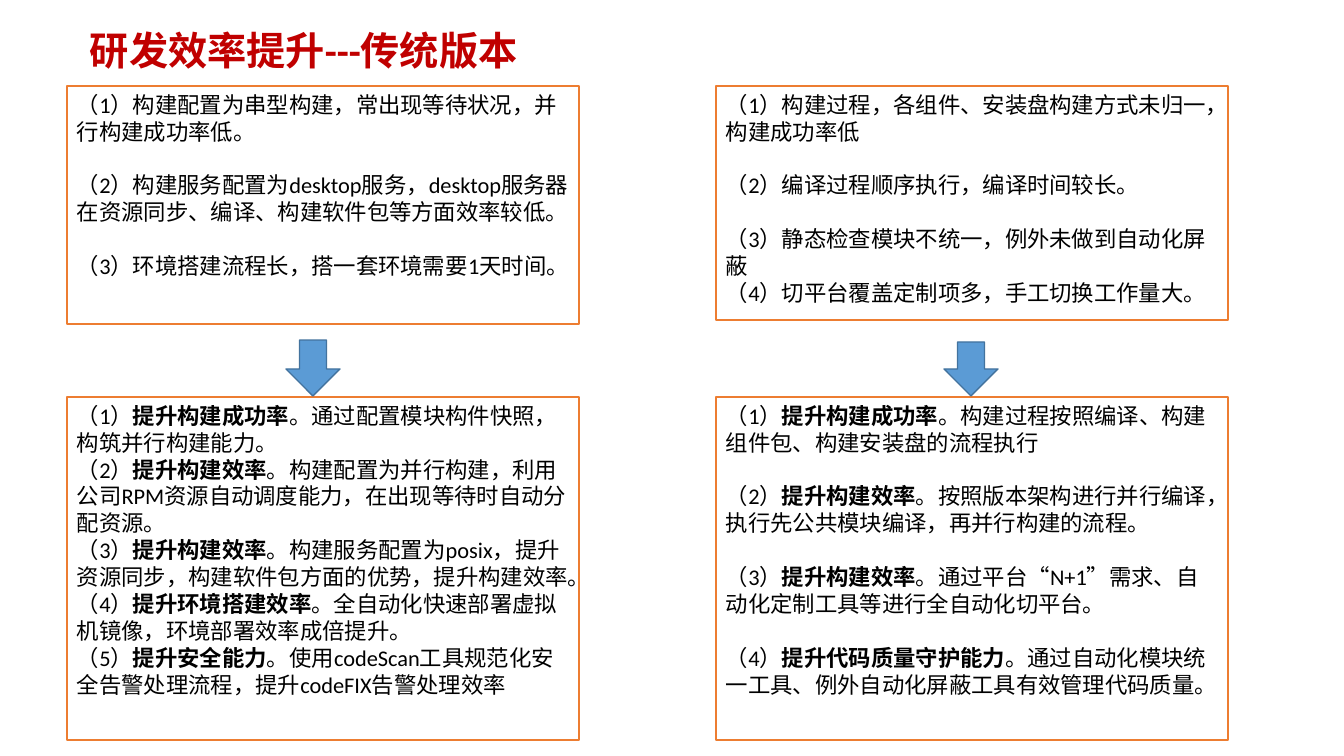
from pptx import Presentation
from pptx.dml.color import RGBColor
from pptx.enum.shapes import MSO_SHAPE
from pptx.enum.text import MSO_ANCHOR, PP_ALIGN
from pptx.util import Pt

PX = 9071
LEFT, RIGHT = 67, 716
BOX_W = 512
LINE_GAP = 19.2


def color(value):
    return RGBColor.from_string(value)


def add_shape(kind, box, fill, line):
    sp = s.shapes.add_shape(kind, *[v * PX for v in box])
    sp.shadow.inherit = False
    sp.fill.solid()
    sp.fill.fore_color.rgb = color(fill)
    sp.line.color.rgb = color(line)
    sp.line.width = Pt(1)
    return sp


prs = Presentation()
prs.slide_width = 1344 * PX
prs.slide_height = 756 * PX
s = prs.slides.add_slide(prs.slide_layouts[6])

panels = [
    (RIGHT, 397, 343, 3, [
        ("提升构建成功率", "。构建过程按照编译、构建组件包、构建安装盘的流程执行"),
        ("提升构建效率", "。按照版本架构进行并行编译，执行先公共模块编译，再并行构建的流程。"),
        ("提升构建效率", "。通过平台“N+1”需求、自动化定制工具等进行全自动化切平台。"),
        ("提升代码质量守护能力", "。通过自动化模块统一工具、例外自动化屏蔽工具有效管理代码质量。"),
    ]),
    (RIGHT, 86, 234, 2, [
        ("", "构建过程，各组件、安装盘构建方式未归一，构建成功率低"),
        ("", "编译过程顺序执行，编译时间较长。"),
        ("", "静态检查模块不统一，例外未做到自动化屏蔽"),
        ("", "切平台覆盖定制项多，手工切换工作量大。"),
    ]),
    (LEFT, 397, 343, 0, [
        ("提升构建成功率", "。通过配置模块构件快照，构筑并行构建能力。"),
        ("提升构建效率", "。构建配置为并行构建，利用公司RPM资源自动调度能力，在出现等待时自动分配资源。"),
        ("提升构建效率", "。构建服务配置为posix，提升资源同步，构建软件包方面的优势，提升构建效率。"),
        ("提升环境搭建效率", "。全自动化快速部署虚拟机镜像，环境部署效率成倍提升。"),
        ("提升安全能力", "。使用codeScan工具规范化安全告警处理流程，提升codeFIX告警处理效率"),
    ]),
    (LEFT, 86, 238, 2, [
        ("", "构建配置为串型构建，常出现等待状况，并行构建成功率低。"),
        ("", "构建服务配置为desktop服务，desktop服务器在资源同步、编译、构建软件包等方面效率较低。"),
        ("", "环境搭建流程长，搭一套环境需要1天时间。"),
    ]),
]

for left, top, height, gaps, items in panels:
    sp = add_shape(MSO_SHAPE.RECTANGLE, (left, top, BOX_W, height), "FFFFFF", "ED7D31")
    tf = sp.text_frame
    tf.word_wrap = True
    tf.vertical_anchor = MSO_ANCHOR.TOP
    for i, (lead, body) in enumerate(items):
        p = tf.paragraphs[0] if i == 0 else tf.add_paragraph()
        p.alignment = PP_ALIGN.LEFT
        p.space_after = Pt(LINE_GAP if i < gaps else 0)
        runs = [(f"（{i + 1}）", False), (lead, True), (body, False)] if lead else [(f"（{i + 1}）{body}", False)]
        for text, bold in runs:
            r = p.add_run()
            r.text = text
            r.font.name = "Calibri"
            r.font.size = Pt(16)
            r.font.bold = bold
            r.font.color.rgb = color("000000")

for left, top, height in [(286, 340, 56), (944, 342, 54)]:
    add_shape(MSO_SHAPE.DOWN_ARROW, (left, top, 54, height), "5B9BD5", "43739E")

title = s.shapes.add_textbox(80 * PX, 21 * PX, 542 * PX, 58 * PX)
tf = title.text_frame
tf.word_wrap = True
p = tf.paragraphs[0]
p.text = "研发效率提升---传统版本"
r = p.runs[0]
r.font.name = "Calibri"
r.font.size = Pt(28)
r.font.bold = True
r.font.color.rgb = color("C00000")

prs.save("out.pptx")
